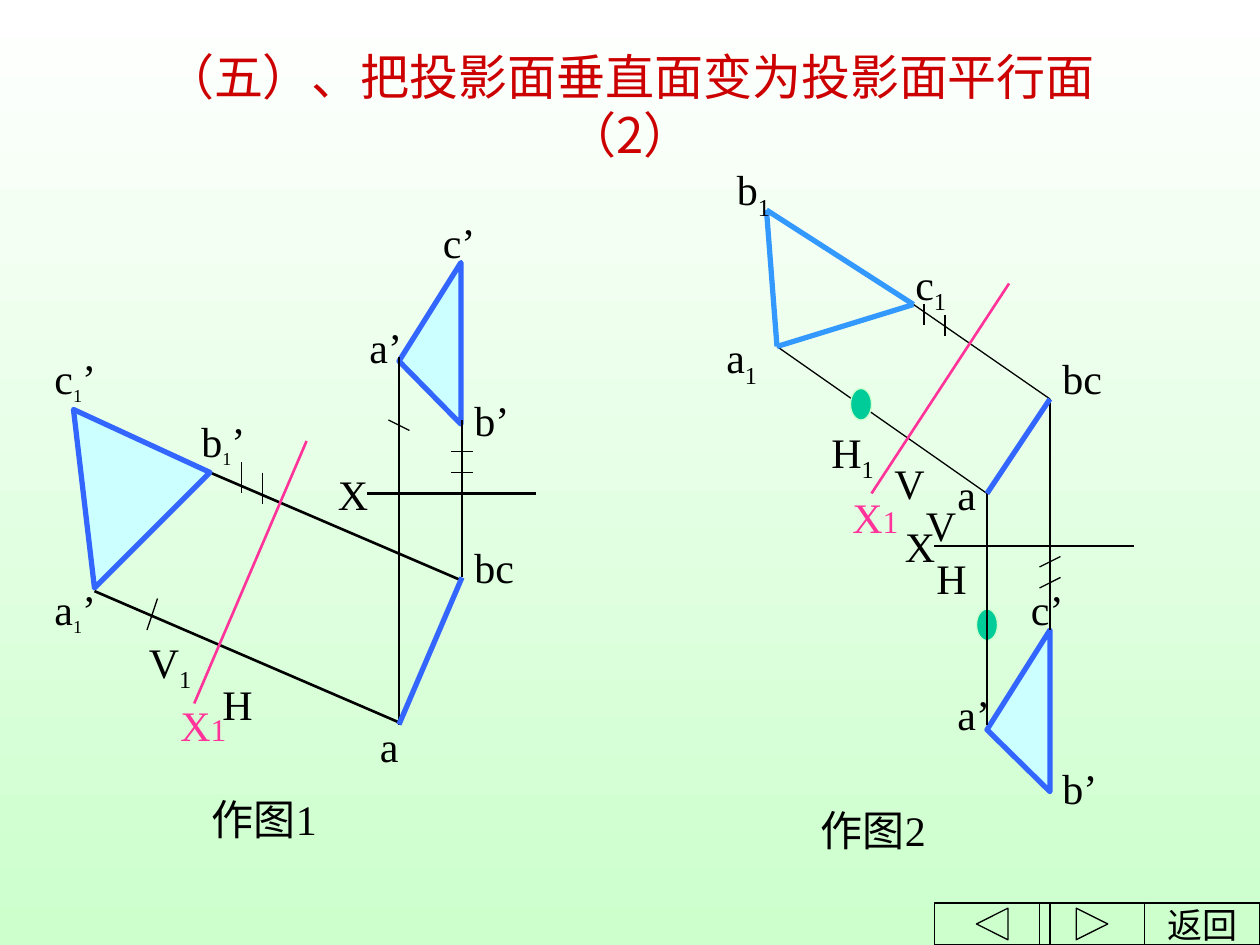
from dataclasses import dataclass
from typing import NamedTuple

import pptx
import pptx.dml.color
import pptx.enum.shapes
import pptx.enum.text
import pptx.oxml
import pptx.oxml.ns
import pptx.util

PX = 7620  # EMU per px: 120 px to the inch, 1200 x 900 px page
Point = tuple[int, int]


@dataclass(frozen=True)
class Theme:
    black: str = "000000"
    title: str = "CC0000"
    axis: str = "FF3399"
    edge: str = "3366FF"
    new_edge: str = "3399FF"
    face: str = "CCFFFF"
    dot: str = "00CC99"
    page_top: str = "FFFFFF"
    page_bottom: str = "CCFFCC"
    latin: str = "Times New Roman"
    chinese: str = "Noto Sans CJK JP"
    title_size: int = 28
    label_size: int = 24
    button_size: int = 20
    small_size: int = 18
    thin: float = 0.75
    medium: float = 1.5
    thick: float = 3


THEME = Theme()


class Stroke(NamedTuple):
    start: Point
    end: Point
    color: str = THEME.black
    width: float = THEME.medium


class Label(NamedTuple):
    """Letters with an optional index, lowered unless flat, and a prime."""
    x: int
    y: int
    width: int
    text: str
    index: str = ""
    prime: str = ""
    color: str = THEME.black
    flat: bool = False


class Button(NamedTuple):
    left: int
    right: int
    arrow: tuple[Point, ...] = ()
    text: str = ""


PROJECTORS = [
    Stroke((200, 450), (440, 553)),
    Stroke((90, 563), (380, 688)),
    Stroke((940, 470), (740, 330), width=THEME.thin),
    Stroke((1000, 380), (870, 290), width=THEME.thin),
]
DOTS = [(930, 580), (810, 370)]
TRIANGLES = [
    [(70, 390), (90, 560), (200, 450)],
    [(439, 250), (439, 404), (380, 344)],
    [(1000, 600), (1000, 754), (940, 695)],
]
A1, B1, C1 = (740, 330), (730, 200), (870, 290)
OUTLINES = [
    Stroke((350, 470), (510, 470)),
    Stroke((440, 400), (440, 550)),
    Stroke((380, 340), (380, 690)),
    Stroke((440, 550), (380, 690), THEME.edge, THEME.thick),
    Stroke((292, 420), (185, 670), THEME.axis),
    Stroke((890, 520), (1080, 520)),
    Stroke((1000, 380), (1000, 600)),
    Stroke((940, 470), (940, 690)),
    Stroke((1000, 380), (940, 470), THEME.edge, THEME.thick),
    Stroke((961, 270), (830, 470), THEME.axis),
    *(Stroke(start, end, THEME.new_edge, THEME.thick)
      for start, end in [(A1, C1), (B1, C1), (B1, A1)]),
]
TICKS = [
    Stroke(start, end, width=THEME.thin) for start, end in [
        ((230, 440), (230, 470)), ((250, 450), (250, 480)),
        ((150, 570), (140, 600)), ((370, 400), (390, 410)),
        ((430, 430), (450, 430)), ((430, 450), (450, 450)),
        ((880, 290), (880, 310)), ((900, 300), (900, 320)),
        ((990, 540), (1010, 530)), ((990, 560), (1010, 550)),
    ]
]
LABELS = [
    Label(40, 550, 70, "a", "1", "’"),
    Label(40, 330, 70, "c", "1", "’"),
    Label(180, 390, 70, "b", "1", "’"),
    Label(440, 510, 80, "bc"),
    Label(350, 680, 80, "a"),
    Label(440, 370, 80, "b’"),
    Label(340, 300, 80, "a’"),
    Label(410, 200, 80, "c’"),
    Label(310, 440, 60, "X"),
    Label(160, 660, 100, "X", "1", color=THEME.axis, flat=True),
    Label(200, 640, 60, "H"),
    Label(130, 600, 80, "V", "1"),
    Label(190, 750, 170, "作图1"),
    Label(800, 462, 120, "X", "1", color=THEME.axis, flat=True),
    Label(780, 400, 120, "H", "1"),
    Label(840, 430, 60, "V"),
    Label(680, 310, 120, "a", "1"),
    Label(690, 150, 120, "b", "1"),
    Label(860, 240, 120, "c", "1"),
    Label(1000, 330, 80, "bc"),
    Label(900, 440, 80, "a"),
    Label(1000, 720, 80, "b’"),
    Label(900, 650, 80, "a’"),
    Label(970, 550, 80, "c’"),
    Label(850, 490, 60, "X"),
    Label(870, 470, 40, "V"),
    Label(880, 520, 70, "H"),
    Label(770, 760, 160, "作图2"),
]
BUTTONS = [
    Button(1090, 1200, text="返回"),
    Button(890, 1000, ((930, 880), (960, 865), (960, 895))),
    Button(990, 1090, ((1025, 865), (1055, 880), (1025, 895))),
]


def rgb(color: str) -> pptx.dml.color.RGBColor:
    return pptx.dml.color.RGBColor.from_string(color)


def style_paragraph(para, size: int, color: str, latin: str) -> None:
    para.font.size = pptx.util.Pt(size)
    para.font.color.rgb = rgb(color)
    para.font.name = latin
    for span in para.runs:
        properties = span._r.get_or_add_rPr()
        east_asian = pptx.oxml.parse_xml(
            f'<a:ea {pptx.oxml.ns.nsdecls("a")} typeface="{THEME.chinese}"/>')
        properties.append(east_asian)


def style_line(line, color: str, width: float) -> None:
    line.color.rgb = rgb(color)
    line.width = pptx.util.Pt(width)


def add_box(page, x: int, y: int, width: int, height: int):
    box = page.shapes.add_textbox(x * PX, y * PX, width * PX, height * PX)
    box.text_frame.word_wrap = True
    return box.text_frame


def add_title(page, text: str) -> None:
    frame = add_box(page, 90, 40, 1020, 120)
    frame.vertical_anchor = pptx.enum.text.MSO_ANCHOR.MIDDLE
    para = frame.paragraphs[0]
    para.alignment = pptx.enum.text.PP_ALIGN.CENTER
    para.add_run().text = text
    style_paragraph(para, THEME.title_size, THEME.title, THEME.chinese)


def add_label(page, label: Label) -> None:
    para = add_box(page, label.x, label.y, label.width, 60).paragraphs[0]
    para.add_run().text = label.text
    if label.index:
        index = para.add_run()
        index.text = label.index
        if label.flat or label.prime:
            index.font.size = pptx.util.Pt(THEME.small_size)
        if not label.flat:
            index._r.get_or_add_rPr().set("baseline", "-25000")
    if label.prime:
        para.add_run().text = label.prime
    style_paragraph(para, THEME.label_size, label.color, THEME.latin)


def add_stroke(page, stroke: Stroke) -> None:
    ends = [value * PX for value in (*stroke.start, *stroke.end)]
    line = page.shapes.add_connector(pptx.enum.shapes.MSO_CONNECTOR.STRAIGHT, *ends)
    style_line(line.line, stroke.color, stroke.width)
    line._element.spPr.append(
        pptx.oxml.parse_xml(f'<a:effectLst {pptx.oxml.ns.nsdecls("a")}/>'))


def add_outline(page, *contours):
    """Draw closed contours as one freeform."""
    builder = page.shapes.build_freeform(*contours[0][0], scale=PX)
    for contour in contours:
        builder.move_to(*contour[0])
        builder.add_line_segments(contour[1:], close=True)
    shape = builder.convert_to_shape()
    shape.shadow.inherit = False
    return shape


def add_triangle(page, corners: list[Point]) -> None:
    shape = add_outline(page, corners)
    shape.fill.solid()
    shape.fill.fore_color.rgb = rgb(THEME.face)
    style_line(shape.line, THEME.edge, THEME.thick)


def add_dot(page, place: Point) -> None:
    dot = page.shapes.add_shape(pptx.enum.shapes.MSO_SHAPE.OVAL,
                                place[0] * PX, place[1] * PX, 20 * PX, 30 * PX)
    dot.shadow.inherit = False
    dot.fill.solid()
    dot.fill.fore_color.rgb = rgb(THEME.dot)
    style_line(dot.line, THEME.page_bottom, THEME.thin)


def add_button(page, button: Button) -> None:
    top, bottom = 860, 900
    frame = [(button.left, top), (button.right, top),
             (button.right, bottom), (button.left, bottom)]
    shape = add_outline(page, frame, *([button.arrow] if button.arrow else []))
    shape.fill.background()
    style_line(shape.line, THEME.black, THEME.thin)
    if button.text:
        shape.text_frame.word_wrap = False
        shape.text_frame.vertical_anchor = pptx.enum.text.MSO_ANCHOR.MIDDLE
        para = shape.text_frame.paragraphs[0]
        para.alignment = pptx.enum.text.PP_ALIGN.CENTER
        para.add_run().text = button.text
        style_paragraph(para, THEME.button_size, THEME.black, THEME.latin)


def paint_background(page) -> None:
    fill = page.background.fill
    fill.gradient()
    fill.gradient_angle = 270
    for stop, color in zip(fill.gradient_stops, (THEME.page_top, THEME.page_bottom)):
        stop.color.rgb = rgb(color)


def main() -> None:
    deck = pptx.Presentation()
    deck.slide_width, deck.slide_height = 1200 * PX, 900 * PX
    page = deck.slides.add_slide(deck.slide_layouts[6])
    paint_background(page)
    add_title(page, "（五）、把投影面垂直面变为投影面平行面（2）")
    for draw, items in [(add_stroke, PROJECTORS), (add_dot, DOTS),
                        (add_triangle, TRIANGLES), (add_stroke, OUTLINES + TICKS),
                        (add_label, LABELS), (add_button, BUTTONS)]:
        for item in items:
            draw(page, item)
    deck.save("out.pptx")


if __name__ == "__main__":
    main()
